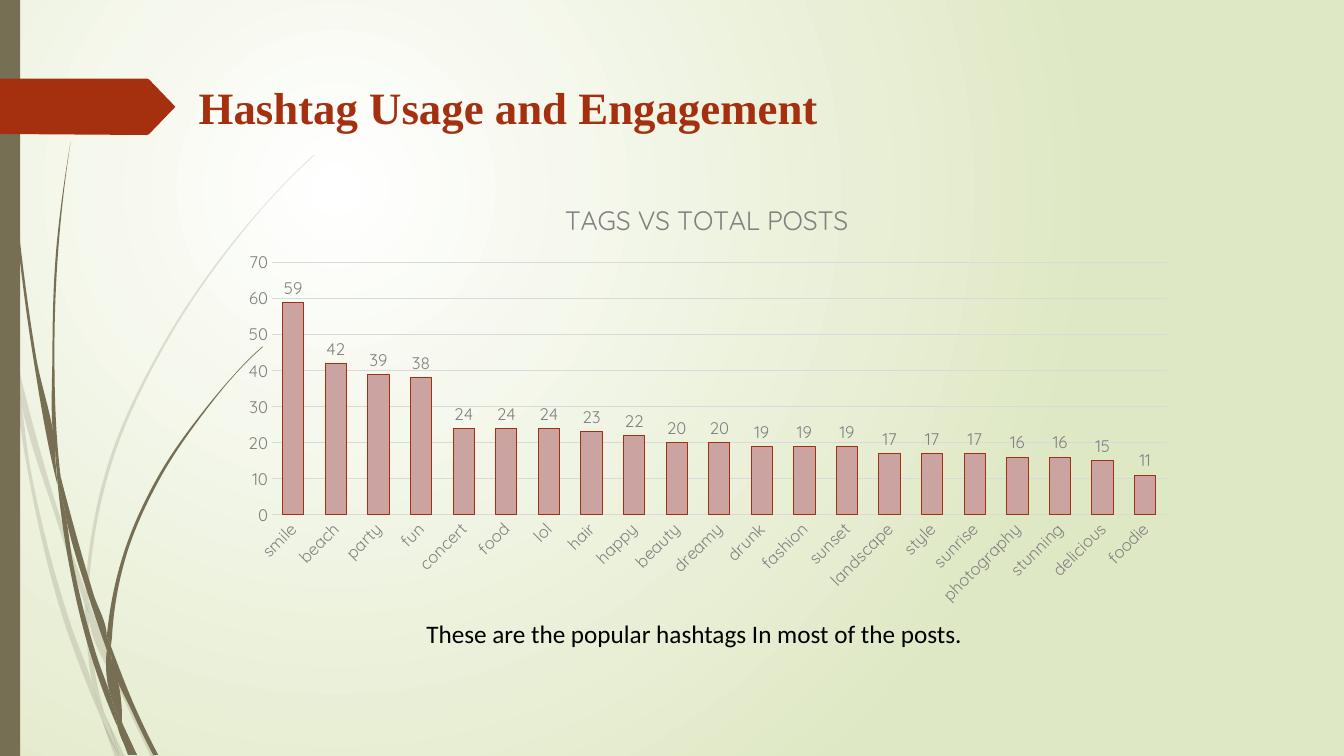
from pptx import Presentation
from pptx.chart.data import CategoryChartData
from pptx.dml.color import RGBColor
from pptx.enum import chart as ch, shapes, text
from pptx.oxml import parse_xml
from pptx.oxml.ns import nsdecls, qn
from pptx.util import Inches, Pt

RUST = RGBColor(0xA5, 0x30, 0x10)
EDGE = RGBColor(0xA1, 0x2F, 0x10)
ROSE = RGBColor(0xCB, 0xA3, 0xA0)
OLIVE = RGBColor(0x76, 0x6F, 0x54)
LIME = RGBColor(0xDF, 0xE8, 0xC4)
GREY = RGBColor(0x80, 0x80, 0x80)
PALE = RGBColor(0xD9, 0xD9, 0xD9)
WHITE = RGBColor(0xFF, 0xFF, 0xFF)
BLACK = RGBColor(0, 0, 0)

TITLE = "Hashtag Usage and Engagement"
HEAD = "TAGS VS TOTAL POSTS"
NOTE = "These are the popular hashtags In most of the posts."
POSTS = {
    "smile": 59, "beach": 42, "party": 39, "fun": 38, "concert": 24,
    "food": 24, "lol": 24, "hair": 23, "happy": 22, "beauty": 20,
    "dreamy": 20, "drunk": 19, "fashion": 19, "sunset": 19,
    "landscape": 17, "style": 17, "sunrise": 17, "photography": 16,
    "stunning": 16, "delicious": 15, "foodie": 11,
}

# Each blade of grass is a ring of edges, each a smooth curve through its points
FAINT = [
    ([(.11, 3.5), (.09, 3.22), (0, 2.82)], [(0, 2.99), (.1, 3.44), (.11, 3.5)]),
    ([(.14, 3.45), (.17, 3.76), (.58, 5.22), (.84, 5.99)],
     [(.85, 5.86), (.62, 5.2), (.14, 3.45)]),
    ([(.88, 5.96), (.88, 6.1), (1.23, 6.94), (1.5, 7.51)],
     [(1.55, 7.51), (1.27, 6.92), (.92, 6.07), (.88, 5.96)]),
    ([(1.05, 7.11), (1.19, 7.51)], [(1.24, 7.51), (1.05, 7.11)]),
    ([(.11, 3.5), (.28, 4.7), (.65, 6.21), (.92, 6.93), (1.01, 7.14)],
     [(.99, 7.07), (.93, 6.83), (.7, 6.19), (.31, 4.69), (.17, 3.76), (.11, 3.5)]),
    ([(.84, 5.99), (.87, 6.46), (.93, 6.83), (.96, 6.92), (1.05, 7.11)],
     [(1.03, 7.06), (.91, 6.46), (.88, 6.1), (.88, 6.08), (.84, 5.99)]),
    ([(.88, 5.84), (1.1, 4.62), (1.6, 3.49), (2.29, 2.45), (2.68, 1.98), (2.9, 1.75),
      (3.12, 1.54)],
     [(3.12, 1.53), (2.89, 1.75), (2.68, 1.97), (2.28, 2.44), (1.58, 3.48),
      (1.07, 4.61), (.85, 5.84)], [(.85, 5.86), (.88, 5.96)]),
    ([(1.01, 7.14), (1.14, 7.51)], [(1.19, 7.51), (1.01, 7.14)]),
    ([(.88, 6.08), (.88, 6.1)], [(.88, 5.96), (.85, 5.86)], [(.84, 5.99), (.88, 6.08)]),
    ([(.93, 6.83), (.99, 7.07), (1.01, 7.14), (1.19, 7.51)],
     [(1.19, 7.51), (1.05, 7.11), (.96, 6.92), (.93, 6.83)]),
]
STRONG = [
    ([(.03, 0), (.04, .48), (.07, 1.1), (.17, 2.33), (.33, 3.55), (.56, 4.77), (.57, 4.81)],
     [(.55, 4.57), (.55, 4.53), (.36, 3.55), (.19, 2.32), (.08, 1.09), (.05, .48), (.04, 0)]),
    ([(.6, 4.72), (.64, 5.05), (.88, 5.92), (1.06, 6.45)],
     [(1.06, 6.33), (1.06, 6.31), (.93, 5.9), (.6, 4.72)]),
    ([(1.1, 6.41), (1.11, 6.56), (1.32, 7.08), (1.52, 7.49)],
     [(1.57, 7.49), (1.36, 7.06), (1.13, 6.49), (1.1, 6.41)]),
    ([(.57, 4.77), (.68, 5.57), (.93, 6.59), (1.11, 7.08), (1.17, 7.22)],
     [(1.16, 7.17), (1.1, 6.91), (.98, 6.57), (.72, 5.56), (.64, 5.05), (.57, 4.77)]),
    ([(.6, 4.72), (.58, 4.53), (.54, 3.49), (.58, 2.45), (.63, 1.93), (.7, 1.41)],
     [(.7, 1.41), (.62, 1.93), (.56, 2.45), (.52, 3.49), (.55, 4.49), (.6, 4.72)]),
    ([(1.22, 7.19), (1.33, 7.49)], [(1.36, 7.49), (1.22, 7.19)]),
    ([(.57, 4.77), (.64, 5.05)], [(.6, 4.72), (.55, 4.49)], [(.55, 4.53), (.57, 4.77)]),
    ([(1.11, 6.33), (1.25, 5.52), (1.58, 4.76), (2.05, 4.06), (2.31, 3.74),
      (2.45, 3.59), (2.61, 3.44)],
     [(2.6, 3.44), (2.45, 3.58), (2.31, 3.73), (2.04, 4.05), (1.56, 4.74),
      (1.22, 5.51), (1.06, 6.31)], [(1.1, 6.41), (1.11, 6.33)]),
    ([(1.17, 7.22), (1.27, 7.49)], [(1.31, 7.49), (1.17, 7.22)]),
    ([(1.06, 6.45), (1.1, 6.91), (1.16, 7.06), (1.22, 7.19)],
     [(1.21, 7.16), (1.11, 6.56), (1.09, 6.51), (1.06, 6.45)]),
    ([(1.06, 6.45), (1.09, 6.51), (1.11, 6.56)], [(1.1, 6.41), (1.06, 6.31)],
     [(1.06, 6.33), (1.06, 6.45)]),
    ([(1.1, 6.91), (1.16, 7.17), (1.17, 7.22), (1.3, 7.49)],
     [(1.33, 7.49), (1.22, 7.19), (1.16, 7.06), (1.1, 6.91)]),
]
ARROW = [(0, .78), (1.46, .78), (1.48, .79), (1.74, 1.06), (1.48, 1.33), (1.46, 1.34), (0, 1.33)]


def paint(shape, color):
    shape.shadow.inherit = False
    shape.fill.solid()
    shape.fill.fore_color.rgb = color
    shape.line.fill.background()


def outline(slide, dots, color):
    first, *rest = [(Inches(x), Inches(y)) for x, y in dots]
    pen = slide.shapes.build_freeform(*first)
    pen.add_line_segments(rest)
    shape = pen.convert_to_shape()
    paint(shape, color)
    return shape


def handles(knots):
    """Two control points for each span, from the parabola through three knots."""
    dots = [complex(*k) for k in knots]
    spans = [b - a for a, b in zip(dots, dots[1:])]
    units = [s / abs(s) for s in spans]
    inner = [(units[i] * abs(t) + units[i + 1] * abs(s)) / (abs(s) + abs(t))
             for i, (s, t) in enumerate(zip(spans, spans[1:]))]
    ends = (inner or units)[0], (inner or units)[-1]
    slopes = [2 * units[0] - ends[0], *inner, 2 * units[-1] - ends[1]]
    return [(dots[i] + slopes[i] * abs(s) / 3, dots[i + 1] - slopes[i + 1] * abs(s) / 3)
            for i, s in enumerate(spans)]


def add_blade(slide, edges, alpha):
    blade = outline(slide, [dot for edge in edges for dot in edge], OLIVE)
    spans = [pair for edge in edges for pair in [None, *handles(edge)]][1:]
    for node, pair in zip(blade.element.findall(".//" + qn("a:lnTo")), spans):
        if pair:  # spans that join two edges stay straight
            node.tag = qn("a:cubicBezTo")
            for i, dot in enumerate(pair):
                x, y = Inches(dot.real) - blade.left, Inches(dot.imag) - blade.top
                node.insert(i, parse_xml(f'<a:pt {nsdecls("a")} x="{x}" y="{y}"/>'))
    tint = blade.element.spPr.find(".//" + qn("a:srgbClr"))
    tint.append(parse_xml(f'<a:alpha {nsdecls("a")} val="{alpha}"/>'))


def style(font, name, size, color, bold=False):
    font.name, font.size, font.bold = name, Pt(size), bold
    font.color.rgb = color


def place(node, spot, x, y, w=None, h=None):
    for old in node.findall(qn("c:layout")):
        node.remove(old)
    inner = '<c:layoutTarget val="inner"/>' if w else ""
    size = f'<c:w val="{w}"/><c:h val="{h}"/>' if w else ""
    node.insert(spot, parse_xml(
        f'<c:layout {nsdecls("c")}><c:manualLayout>{inner}<c:xMode val="edge"/>'
        f'<c:yMode val="edge"/><c:x val="{x}"/><c:y val="{y}"/>{size}'
        '</c:manualLayout></c:layout>'))


def add_bars(slide):
    data = CategoryChartData()
    data.categories = list(POSTS)
    data.add_series("Series 1", list(POSTS.values()))
    box = map(Inches, (2.28, 1.8, 9.49, 4.29))
    chart = slide.shapes.add_chart(ch.XL_CHART_TYPE.COLUMN_CLUSTERED, *box, data).chart
    style(chart.font, "Quicksand", 10, BLACK)
    chart.has_legend = False
    head = chart.chart_title
    head.text_frame.text = HEAD
    style(head.text_frame.paragraphs[0].font, "Quicksand", 19, GREY)
    head.include_in_layout = False
    root = chart.element
    place(root.find(".//" + qn("c:title")), 1, .345, .035)
    place(root.find(".//" + qn("c:plotArea")), 0, .044, .188, .935, .583)

    # Bars and their labels
    plot = chart.plots[0]
    plot.gap_width, plot.overlap, plot.vary_by_categories = 100, -24, False
    bars = plot.series[0].format
    bars.fill.solid()
    bars.fill.fore_color.rgb = ROSE
    bars.line.color.rgb, bars.line.width = EDGE, Pt(.75)
    tags = plot.series[0].data_labels
    tags.show_value, tags.position = True, ch.XL_LABEL_POSITION.OUTSIDE_END
    style(tags.font, "Quicksand", 12, GREY)

    # Axes
    cat, val = chart.category_axis, chart.value_axis
    for axis in (cat, val):
        axis.major_tick_mark = axis.minor_tick_mark = ch.XL_TICK_MARK.NONE
        style(axis.tick_labels.font, "Quicksand", 12, GREY)
    val.minimum_scale, val.maximum_scale, val.major_unit = 0, 70, 10
    val.format.line.fill.background()
    for line in (cat.format.line, val.major_gridlines.format.line):
        line.color.rgb, line.width = PALE, Pt(.75)
    root.find(f".//{qn('c:catAx')}/{qn('c:txPr')}/{qn('a:bodyPr')}").set("rot", "-2700000")


def main():
    prs = Presentation()
    prs.slide_width, prs.slide_height = Inches(13.33), Inches(7.5)
    slide = prs.slides.add_slide(prs.slide_layouts[5])
    # Background glow
    fill = slide.background.fill
    fill.gradient()
    for stop, color in zip(fill.gradient_stops, (WHITE, LIME)):
        stop.color.rgb = color
    lin = slide.element.find(".//" + qn("a:lin"))
    lin.getparent().replace(lin, parse_xml(
        f'<a:path {nsdecls("a")} path="circle"><a:fillToRect l="50000" t="50000" '
        'r="100000" b="100000"/></a:path>'))
    # Grass, side bar and arrow
    for blades, alpha in ((FAINT, 20000), (STRONG, 100000)):
        for edges in blades:
            add_blade(slide, edges, alpha)
    paint(slide.shapes.add_shape(
        shapes.MSO_SHAPE.RECTANGLE, 0, 0, Inches(.2), prs.slide_height), OLIVE)
    outline(slide, ARROW, RUST)
    # Title, chart and caption
    title = slide.shapes.title
    title.left, title.top, title.width, title.height = map(Inches, (1.87, .73, 7.09, .66))
    add_bars(slide)
    note = slide.shapes.add_textbox(*map(Inches, (4.13, 6.08, 5.78, .4)))
    for shape, words, font in ((title, TITLE, ("Times New Roman", 32, RUST, True)),
                               (note, NOTE, ("Calibri", 18, BLACK))):
        frame = shape.text_frame
        frame.text, frame.word_wrap = words, True
        frame.vertical_anchor = text.MSO_ANCHOR.MIDDLE
        frame.paragraphs[0].alignment = text.PP_ALIGN.LEFT
        style(frame.paragraphs[0].font, *font)
    prs.save("out.pptx")


if __name__ == "__main__":
    main()
